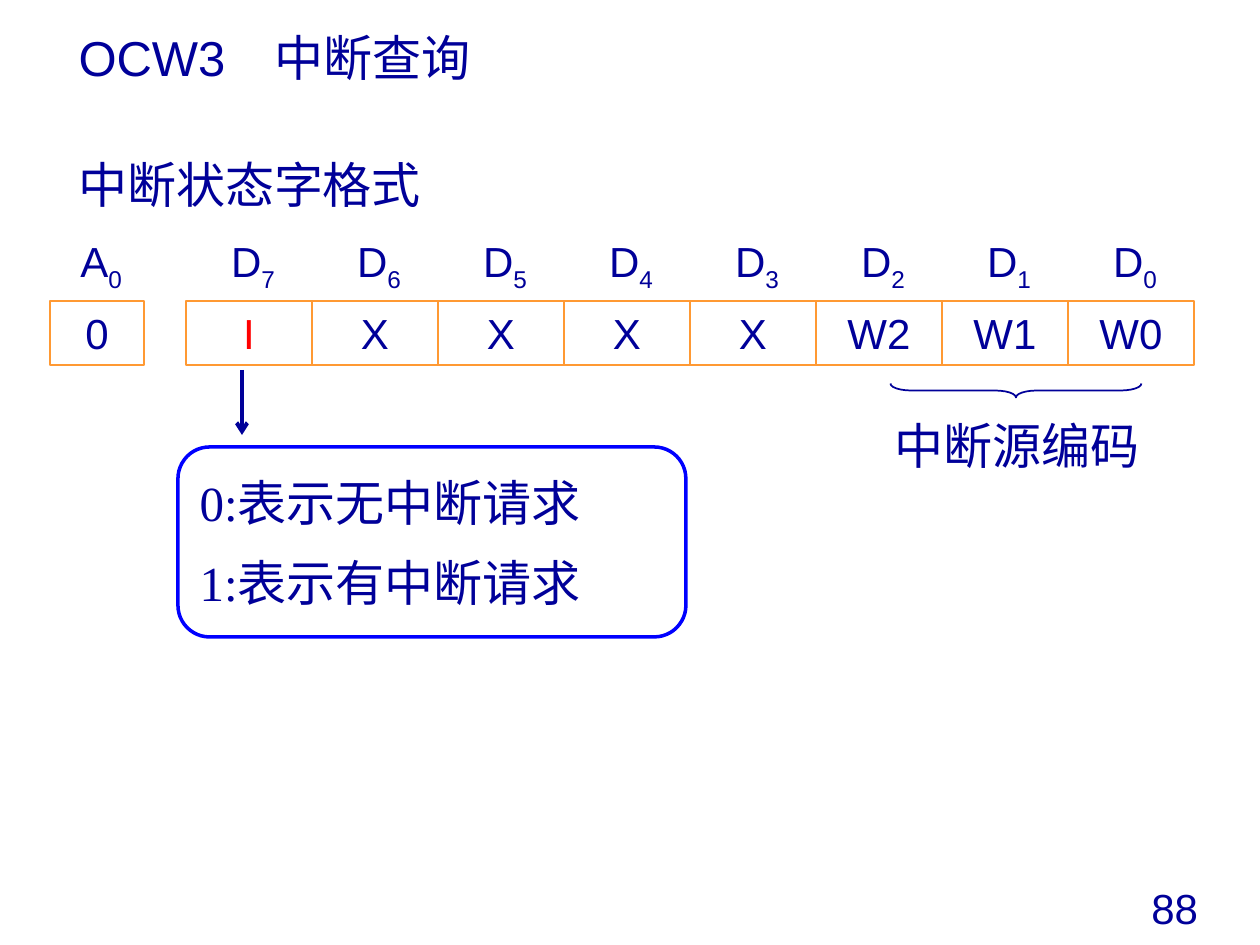
import dataclasses

import lxml.etree
import pptx
import pptx.dml.color
import pptx.enum.shapes
import pptx.enum.text
import pptx.oxml
import pptx.oxml.ns
import pptx.util

Align = pptx.enum.text.PP_ALIGN
Anchor = pptx.enum.text.MSO_ANCHOR
Shape = pptx.enum.shapes.MSO_SHAPE
qn = pptx.oxml.ns.qn

SCALE = 914400 // 126
PAGE_NUMBER = 88


@dataclasses.dataclass(frozen=True)
class Theme:
    """Colours, fonts and type sizes of the slide."""
    ink: str = "000099"
    flag: str = "FF0000"
    cell: str = "FF9933"
    note: str = "0000FF"
    sans: str = "Arial"
    serif: str = "Times New Roman"
    heading: int = 28
    label: int = 24


def emu(*pixels):
    """Turn pixel lengths into EMU."""
    return [pptx.util.Emu(length * SCALE) for length in pixels]


def apply(target, values):
    """Set each attribute of a target from a dict."""
    for attribute, value in values.items():
        setattr(target, attribute, value)


class Board:
    """Draws the elements of one slide in one theme."""

    def __init__(self, slide, theme):
        """Keep the slide and its style."""
        self.slide = slide
        self.theme = theme

    def set_text(self, shape, lines, size=None, font=None, color=None,
                 align=Align.LEFT, anchor=Anchor.MIDDLE, wrap=True, before=0):
        """Fill a shape with lines, each a list of (text, baseline) runs."""
        frame = shape.text_frame
        apply(frame, {"word_wrap": wrap, "vertical_anchor": anchor,
                      "auto_size": pptx.enum.text.MSO_AUTO_SIZE.NONE})
        for index, line in enumerate(lines):
            paragraph = frame.add_paragraph() if index else frame.paragraphs[0]
            apply(paragraph, {"alignment": align,
                              "space_before": pptx.util.Pt(before)})
            for text, baseline in line:
                run = paragraph.add_run()
                run.text = text
                self.style(run.font, size, font, color)
                if baseline:
                    run.font._element.set("baseline", str(baseline))

    def style(self, font, size=None, name=None, color=None):
        """Give a font its size, name and colour."""
        apply(font, {"size": pptx.util.Pt(size or self.theme.label),
                     "name": name or self.theme.sans})
        font.color.rgb = pptx.dml.color.RGBColor.from_string(
            color or self.theme.ink)

    def title(self, box, text):
        """Move and fill the title placeholder."""
        heading = self.slide.shapes.title
        apply(heading, dict(zip(("left", "top", "width", "height"), emu(*box))))
        self.set_text(heading, [[(text, 0)]], self.theme.heading)

    def text(self, box, runs, **style):
        """Add a text box with one line."""
        label = self.slide.shapes.add_textbox(*emu(*box))
        self.set_text(label, [runs], **style)

    def outline(self, kind, box, color, weight):
        """Add an unfilled preset shape."""
        shape = self.slide.shapes.add_shape(kind, *emu(*box))
        shape.shadow.inherit = False
        shape.fill.background()
        self.stroke(shape.line, color, weight)
        return shape

    def stroke(self, line, color, weight):
        """Set the colour and width of a line."""
        line.color.rgb = pptx.dml.color.RGBColor.from_string(color)
        line.width = pptx.util.Pt(weight)

    def cell(self, box, value, color=None):
        """Add one register cell with its value."""
        cell = self.outline(Shape.RECTANGLE, box, self.theme.cell, 1)
        self.set_text(cell, [[(value, 0)]], color=color, align=Align.CENTER,
                      wrap=False)

    def arrow(self, start, end):
        """Add an arrow from start to end."""
        arrow = self.slide.shapes.add_connector(
            pptx.enum.shapes.MSO_CONNECTOR.STRAIGHT, *emu(*start, *end))
        self.stroke(arrow.line, self.theme.ink, 2.25)
        lxml.etree.SubElement(arrow.get_or_add_ln(), qn("a:tailEnd"),
                              type="arrow")
        lxml.etree.SubElement(arrow._element.spPr, qn("a:effectLst"))

    def page_number(self, box):
        """Add a live slide number."""
        number = self.slide.shapes.add_textbox(*emu(*box))
        self.set_text(number, [[(str(PAGE_NUMBER), 0)]], anchor=Anchor.TOP)
        run = number.text_frame.paragraphs[0].runs[0]._r
        run.tag = qn("a:fld")
        run.set("id", "{B6F15528-21DE-4FAA-801E-634DDDAF4B2B}")
        run.set("type", "slidenum")


def draw_register(board):
    """Draw the address bit and the eight data bits with their labels."""
    top, height, pitch, first = 301, 64, 126, 186
    bits = [("A", 0, "0", 50, 94)]
    values = ["I", "X", "X", "X", "X", "W2", "W1", "W0"]
    bits += [("D", 7 - index, value, first + index * pitch, pitch)
             for index, value in enumerate(values)]
    for letter, number, value, left, width in bits:
        board.text((left + 4, 233, width, 63),
                   [(letter, 0), (str(number), -25000)],
                   align=Align.CENTER, wrap=False)
        board.cell((left, top, width, height), value,
                   board.theme.flag if value == "I" else None)


def draw_notes(board):
    """Explain the request flag and the source code bits."""
    theme = board.theme
    brace = board.outline(Shape.LEFT_BRACE, (1009, 265, 14, 251), theme.ink, 1)
    brace.rotation = 270
    brace.adjustments[0] = 1.49
    board.text((876, 409, 282, 72), [("中断源编码", 0)], size=theme.heading,
               font=theme.serif, align=Align.CENTER)

    board.arrow((242, 370), (242, 435))
    meanings = board.outline(Shape.ROUNDED_RECTANGLE, (178, 447, 508, 190),
                             theme.note, 2)
    board.set_text(meanings,
                   [[("0:表示无中断请求", 0)], [("1:表示有中断请求", 0)]],
                   theme.heading, theme.serif, align=Align.JUSTIFY, before=12)


def main():
    """Build and save the slide."""
    deck = pptx.Presentation()
    deck.slide_width, deck.slide_height = emu(1260, 945)
    deck.element.set("firstSlideNum", str(PAGE_NUMBER))
    board = Board(deck.slides.add_slide(deck.slide_layouts[5]), Theme())

    board.title((66, 19, 1062, 76), "OCW3\u3000中断查询")
    board.text((66, 131, 1134, 106), [("中断状态字格式", 0)],
               size=board.theme.heading)
    draw_register(board)
    draw_notes(board)
    board.page_number((1139, 876, 112, 63))
    deck.save("out.pptx")


main()
